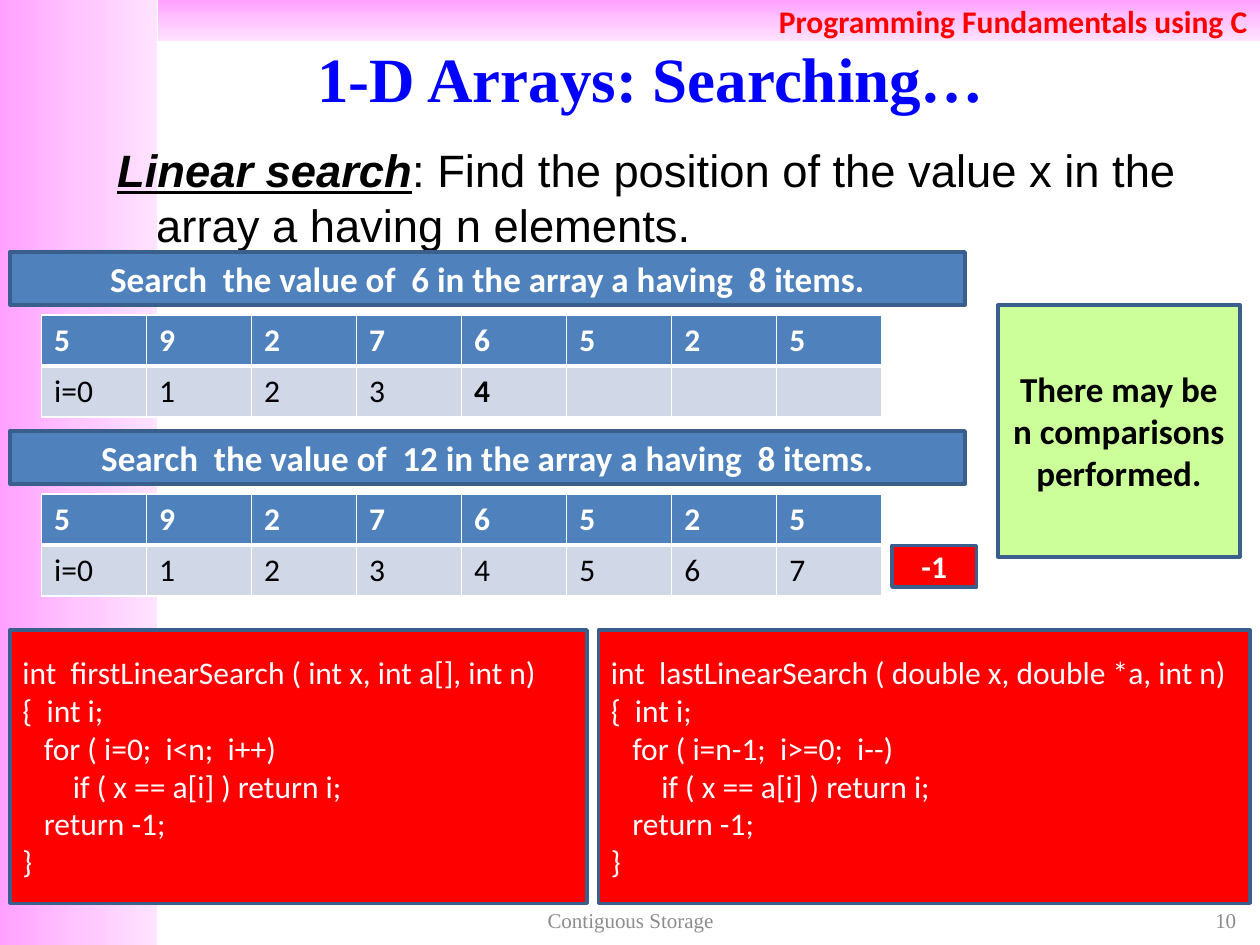
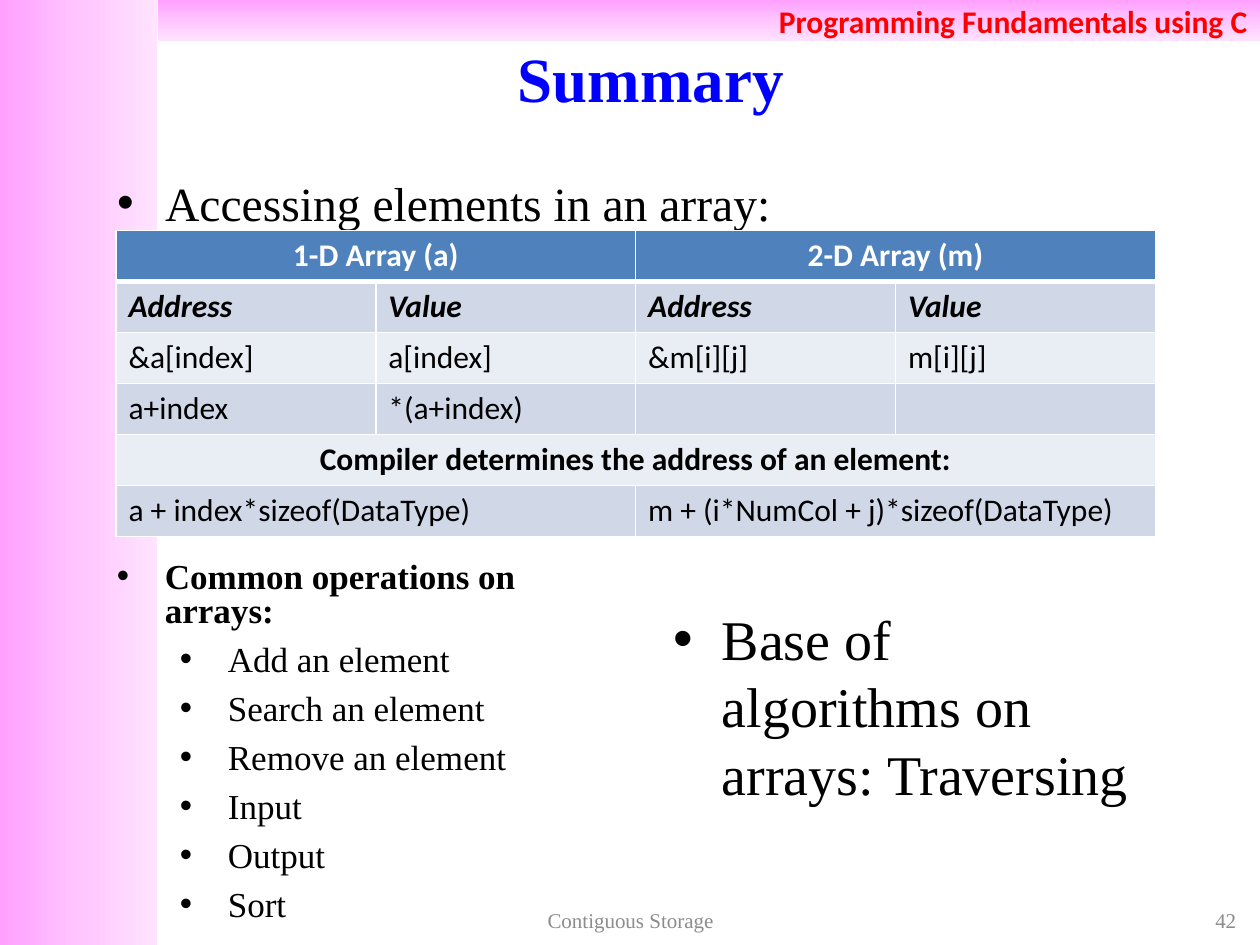
from lxml import etree
from pptx import Presentation
from pptx.dml.color import RGBColor
from pptx.enum.shapes import MSO_SHAPE as Shape
from pptx.enum.text import MSO_ANCHOR as Anchor, MSO_AUTO_SIZE as Fit, PP_ALIGN as Align
from pptx.oxml import parse_xml as to_xml
from pptx.oxml.ns import qn
from pptx.util import Inches, Pt

NS = 'xmlns:a="http://schemas.openxmlformats.org/drawingml/2006/main"'
SANS, SERIF, ARIAL = "Calibri", "Times New Roman", "Arial"
WHITE, BLACK, RED, BLUE = "FFFFFF", "000000", "FF0000", "4F81BD"
TITLE, GRAY, EDGE, LIME = "0000FF", "8C8C8C", "3A5F8C", "CCFF99"
ROWS = ("E9EDF4", "D0D8E8")
PINKS = ((0, "FFA0FF"), (50, "FFC5FF"), (100, "FFE3FF"))
COURSE, FOOTER = "Programming Fundamentals using C", "Contiguous Storage"


def rgb(text):
    return RGBColor.from_string(text)


def box(left, top, width, height):
    return [Inches(n) for n in (left, top, width, height)]


def font(run, size, face, color, bold=False, italic=False):
    f = run.font
    f.size, f.name, f.bold, f.italic = Pt(size), face, bold, italic
    f.color.rgb = rgb(color)


def indent(para, left, first=0):
    props = para._p.get_or_add_pPr()
    props.set("marL", str(Inches(left)))
    props.set("indent", str(Inches(first)))
    return props


def item(para, left, first, bullet=None):
    """Hanging indent, 20% space before, and a bullet or none."""
    props = indent(para, left, first)
    space = to_xml(f'<a:spcBef {NS}><a:spcPct val="20000"/></a:spcBef>')
    props.append(space)
    if bullet:
        etree.SubElement(props, qn("a:buFont"), typeface="Arial")
        etree.SubElement(props, qn("a:buChar"), char=bullet)
    else:
        etree.SubElement(props, qn("a:buNone"))


def border(cell, top, bottom):
    props = cell._tc.get_or_add_tcPr()
    for spot, (side, width) in enumerate(
            (("L", 1), ("R", 1), ("T", top), ("B", bottom))):
        props.insert(spot, to_xml(
            f'<a:ln{side} {NS} w="{Pt(width)}"><a:solidFill>'
            f'<a:srgbClr val="{WHITE}"/></a:solidFill></a:ln{side}>'))


class Deck:
    def __init__(self):
        self.prs = Presentation()
        self.prs.slide_width, self.prs.slide_height = Inches(10), Inches(7.5)
        self.slide = None

    def start(self, title, number):
        """New slide with bands, title and footer."""
        self.slide = self.prs.slides.add_slide(self.prs.slide_layouts[1])
        self.band(2, (0, 0, 1.25, 7.5), 0)
        top = self.band(3, (1.25, 0, 8.75, 0.33), 90)
        self.label(top.text_frame, [COURSE], 18, SANS, RED, True, Align.RIGHT)
        head = self.place(self.slide.shapes.title, (0.83, 0.3, 8.67, 0.62))
        head.vertical_anchor = Anchor.MIDDLE
        self.label(head, [title], 36, SERIF, TITLE, True, Align.CENTER)
        self.note(str(number), (7.58, 7.17, 2.33, 0.27), Align.RIGHT)
        self.note(FOOTER, (3.42, 7.17, 3.17, 0.27), Align.CENTER)

    def place(self, holder, at):
        holder.left, holder.top, holder.width, holder.height = box(*at)
        frame = holder.text_frame
        frame.word_wrap, frame.auto_size = True, Fit.NONE
        return frame

    def body(self, at):
        return self.place(self.slide.placeholders[1], at)

    def text(self, at):
        frame = self.slide.shapes.add_textbox(*box(*at)).text_frame
        frame.word_wrap = True
        return frame

    def label(self, frame, lines, size, face, color, bold=False, align=None):
        frame.text = "\n".join(lines)
        for para in frame.paragraphs:
            para.alignment = align
            for run in para.runs:
                font(run, size, face, color, bold)

    def note(self, text, at, align):
        frame = self.text(at)
        frame.vertical_anchor = Anchor.MIDDLE
        self.label(frame, [text], 12, SERIF, GRAY, align=align)

    def rect(self, at):
        shape = self.slide.shapes.add_shape(Shape.RECTANGLE, *box(*at))
        shape.shadow.inherit = False
        return shape

    def band(self, layer, at, angle):
        shape = self.rect(at)
        shape.line.fill.background()
        stops = "".join(f'<a:gs pos="{pos * 1000}"><a:srgbClr val="{color}"/></a:gs>'
                        for pos, color in PINKS)
        shape._element.spPr.insert(2, to_xml(
            f'<a:gradFill {NS} rotWithShape="1"><a:gsLst>{stops}</a:gsLst>'
            f'<a:lin ang="{angle * 60000}" scaled="0"/></a:gradFill>'))
        self.slide.shapes._spTree.insert(layer, shape._element)
        return shape

    def panel(self, lines, at, fill, size=18, color=WHITE, bold=True,
              align=Align.CENTER):
        shape = self.rect(at)
        shape.fill.solid()
        shape.fill.fore_color.rgb = rgb(fill)
        shape.line.color.rgb, shape.line.width = rgb(EDGE), Pt(2)
        self.label(shape.text_frame, lines, size, SANS, color, bold, align)
        return shape.text_frame

    def code(self, lines, at):
        """Panel of code; each line has its own left indent."""
        frame = self.panel([line for _, line in lines], at, RED,
                           bold=False, align=Align.LEFT)
        for para, (left, _) in zip(frame.paragraphs, lines):
            indent(para, left)

    def table(self, rows, at, spans=(), strong=(), slanted=(), centred=()):
        """Dark first row, then striped rows; strong and centred hold (row, col)."""
        grid = self.slide.shapes.add_table(len(rows), len(rows[0]), *box(*at)).table
        for row, first, last in spans:
            grid.cell(row, first).merge(grid.cell(row, last))
        for r, row in enumerate(rows):
            for c, text in enumerate(row):
                cell = grid.cell(r, c)
                cell.fill.solid()
                cell.fill.fore_color.rgb = rgb(ROWS[r % 2] if r else BLUE)
                border(cell, 3 if r == 1 else 1, 1 if r else 3)
                if not text:
                    continue
                align = Align.CENTER if (r, c) in centred else None
                bold = r == 0 or r in slanted or (r, c) in strong
                self.label(cell.text_frame, [text], 18, SANS,
                           BLACK if r else WHITE, bold, align)
                if r in slanted:
                    cell.text_frame.paragraphs[0].runs[0].font.italic = True

    def bullets(self, frame, lines, size):
        """First line is the head, the others are its sub-items."""
        self.label(frame, lines, size, SERIF, BLACK)
        for n, para in enumerate(frame.paragraphs):
            para.level = min(n, 1)
            item(para, 0.88 if n else 0.38, -0.38, "•")


def search(deck):
    deck.start("1-D Arrays: Searching…", 10)

    # Definition
    para = deck.body((0.83, 1.08, 8.67, 0.83)).paragraphs[0]
    para.level = 1
    item(para, 0.31, -0.31)
    for n, text in enumerate(("Linear search", ": Find the position of the value x "
                              "in the array a having n elements.")):
        run = para.add_run()
        run.text = text
        font(run, 25.9, ARIAL, BLACK, n == 0, n == 0)
        run.font.underline = n == 0

    # Two traced searches
    values = "5 9 2 7 6 5 2 5".split()
    for top, value, seen, strong in ((2, 6, 5, [(1, 4)]), (3.42, 12, 8, [])):
        deck.panel([f"Search  the value of  {value} in the array a having  8 items."],
                   (0.08, top, 7.58, 0.42), BLUE, 20)
        steps = ["i=0"] + [str(i) if i < seen else "" for i in range(1, 8)]
        deck.table([values, steps], (0.33, top + 0.5, 6.67, 0.81), strong=strong)
    deck.panel(["-1"], (7.08, 4.33, 0.67, 0.33), RED)
    deck.panel(["There may be n comparisons performed."],
               (7.92, 2.42, 1.92, 2), LIME, 20, BLACK)

    # Code
    for left, width, head, loop in (
            (0.08, 4.58, "int  firstLinearSearch ( int x, int a[], int n)",
             "for ( i=0;  i<n;  i++)"),
            (4.75, 5.17, "int  lastLinearSearch ( double x, double *a, int n)",
             "for ( i=n-1;  i>=0;  i--)")):
        deck.code([(0, head), (0, "{  int i;"), (0.17, loop),
                   (0.4, "if ( x == a[i] ) return i;"),
                   (0.17, "return -1;"), (0, "}")], (left, 5, width, 2.17))


def summary(deck):
    deck.start("Summary", 42)

    # Access table
    deck.bullets(deck.body((0.83, 1.33, 8.67, 0.5)),
                 ["Accessing elements in an array:"], 27.2)
    deck.table([
        ["1-D Array (a)", "", "2-D Array (m)", ""],
        ["Address", "Value"] * 2,
        ["&a[index]", "a[index]", "&m[i][j]", "m[i][j]"],
        ["a+index", "*(a+index)", "", ""],
        ["Compiler determines the address of an element:", "", "", ""],
        ["a + index*sizeof(DataType)", "", "m + (i*NumCol + j)*sizeof(DataType)", ""],
    ], (0.92, 1.83, 8.25, 2.43),
        spans=[(0, 0, 1), (0, 2, 3), (4, 0, 3), (5, 0, 1), (5, 2, 3)],
        strong=[(4, 0)], slanted=[1], centred=[(0, 0), (0, 2), (4, 0)])

    # Operations
    frame = deck.text((0.83, 4.42, 3.92, 2.67))
    deck.bullets(frame, ["Common operations on arrays:", "Add an element",
                         "Search an element", "Remove an element",
                         "Input", "Output", "Sort"], 20)
    head = frame.paragraphs[0]
    head.line_spacing = 0.8
    head.runs[0].font.bold = True
    deck.bullets(deck.text((5.25, 4.75, 3.92, 2.33)),
                 ["Base of algorithms on arrays: Traversing"], 32)


def main():
    deck = Deck()
    search(deck)
    summary(deck)
    deck.prs.save("out.pptx")


if __name__ == "__main__":
    main()
